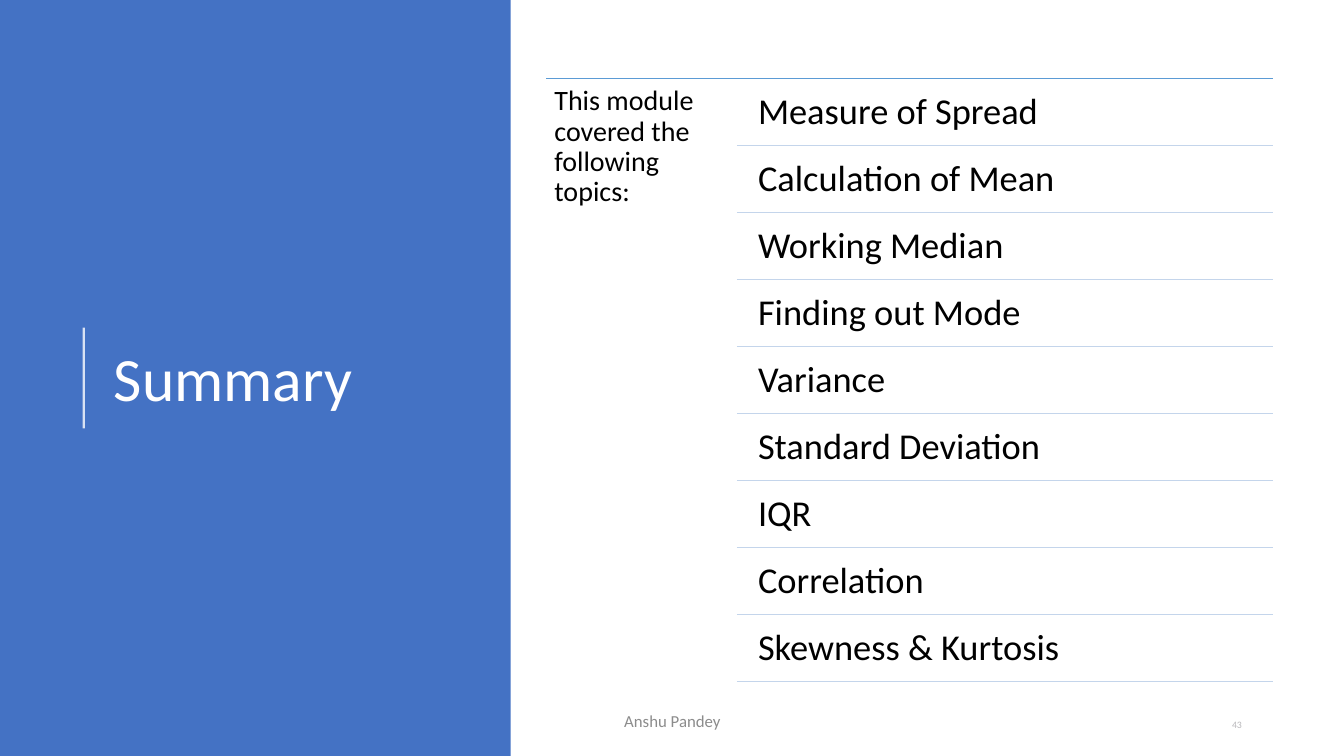
from lxml.etree import SubElement
from pptx import Presentation
from pptx.dml.color import RGBColor
from pptx.enum.shapes import MSO_CONNECTOR, MSO_SHAPE
from pptx.enum.text import MSO_ANCHOR as Anchor, PP_ALIGN as Align
from pptx.oxml.ns import qn
from pptx.util import Inches, Pt

COLORS = {
    "panel": "4472C4", "white": "FFFFFF", "black": "000000", "top_rule": "5B9BD5",
    "topic_rule": "C4D5EB", "footer": "8C8C8C", "number": "B9B8BB",
}
TOPICS = [
    "Measure of Spread", "Calculation of Mean", "Working Median",
    "Finding out Mode", "Variance", "Standard Deviation",
    "IQR", "Correlation", "Skewness & Kurtosis",
]

deck = Presentation()
deck.slide_width, deck.slide_height = Inches(13.33), Inches(7.5)
COL, ROW = deck.slide_width / 100, deck.slide_height / 100
page = deck.slides.add_slide(deck.slide_layouts[5])


def write(box, place, text, size, color, inset, anchor=Anchor.TOP, align=Align.LEFT, spacing=0.9):
    left, top, width, height = place
    box.left, box.width = int(left * COL), int(width * COL)
    box.top, box.height = int(top * ROW), int(height * ROW)
    frame = box.text_frame
    frame.word_wrap = True
    frame.vertical_anchor = anchor
    frame.margin_left = frame.margin_right = Inches(inset)
    frame.margin_top = frame.margin_bottom = Inches(min(inset, 0.11))
    para = frame.paragraphs[0]
    para.text = text
    para.alignment = align
    para.line_spacing = spacing
    para.font.name = "Calibri"
    para.font.size = Pt(size)
    para.font.color.rgb = RGBColor.from_string(COLORS[color])


def rule(left, top, right, bottom, color, weight):
    line = page.shapes.add_connector(
        MSO_CONNECTOR.STRAIGHT,
        int(left * COL), int(top * ROW), int(right * COL), int(bottom * ROW))
    line.line.color.rgb = RGBColor.from_string(COLORS[color])
    line.line.width = Pt(weight)
    SubElement(line.element.spPr, qn("a:effectLst"))
    return line


title = page.shapes.title
panel = page.shapes.add_shape(MSO_SHAPE.RECTANGLE, 0, 0, int(38 * COL), deck.slide_height)
panel.shadow.inherit = False
panel.fill.solid()
panel.fill.fore_color.rgb = RGBColor.from_string(COLORS["panel"])
panel.line.fill.background()
title.element.addprevious(panel.element)
write(title, (7.73, 10.4, 27.68, 80.27), "Summary", 44, "white", 0.1, Anchor.MIDDLE)

title_rule = rule(6.23, 56.67, 6.23, 43.33, "white", 1.5)
shade = title_rule.element.spPr.find(".//" + qn("a:srgbClr"))
SubElement(shade, qn("a:alpha"), val="80000")

list_top, list_bottom, list_right = 10.4, 90.13, 94.73
rule(40.65, list_top, list_right, list_top, "top_rule", 1)
intro = page.shapes.add_textbox(0, 0, 0, 0)
write(intro, (40.65, list_top, 14.18, 80.27),
      "This module covered the following topics:", 20, "black", 0.08)

step = (list_bottom - list_top) / len(TOPICS)
for index, topic in enumerate(TOPICS):
    top = list_top + index * step
    topic_box = page.shapes.add_textbox(0, 0, 0, 0)
    write(topic_box, (55.58, top + 0.44, 39.08, 8.4), topic, 26, "black", 0.11)
    rule(54.83, top + step, list_right, top + step, "topic_rule", 1)

footer = page.shapes.add_textbox(0, 0, 0, 0)
write(footer, (33.15, 92.67, 33.76, 5.33), "Anshu Pandey", 12, "footer", 0.1,
      Anchor.MIDDLE, Align.CENTER, 1)
number = page.shapes.add_textbox(0, 0, 0, 0)
write(number, (91.67, 94.4, 3.53, 2.93), "43", 7, "number", 0, Anchor.MIDDLE, spacing=1)

deck.save("out.pptx")
